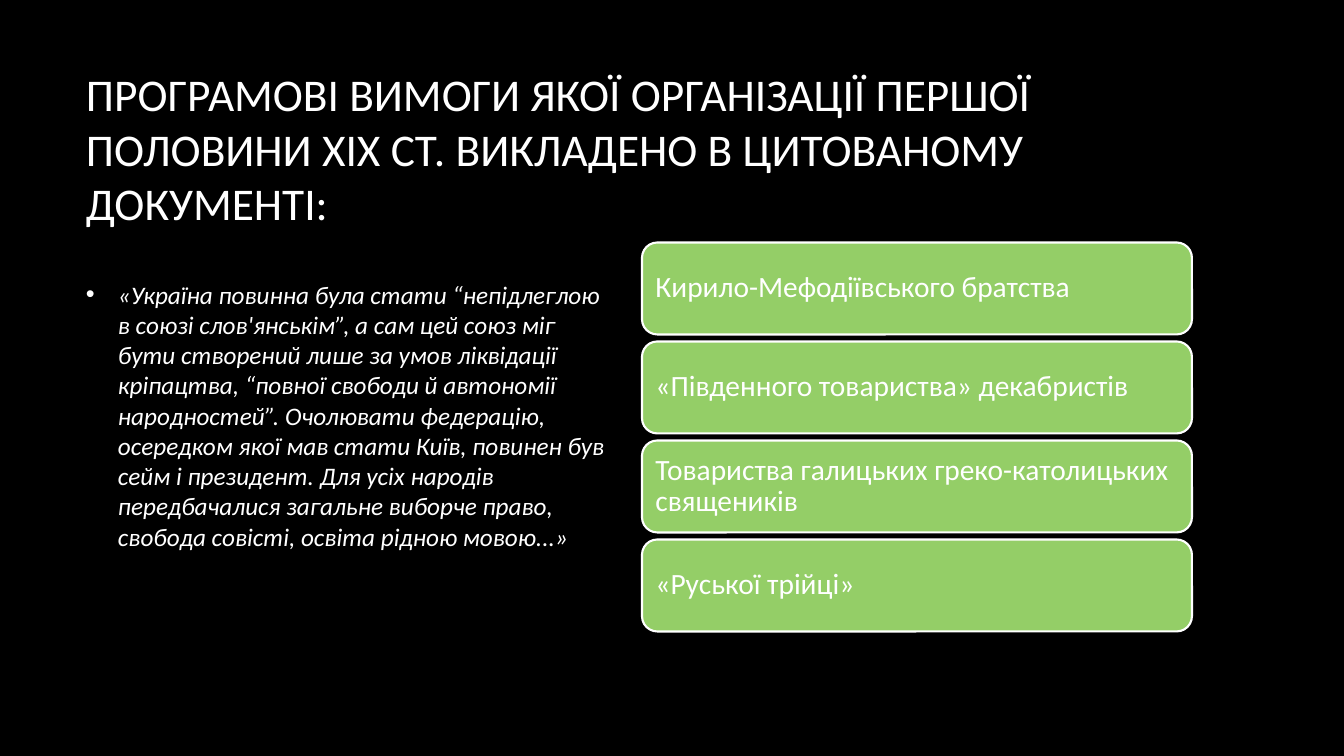
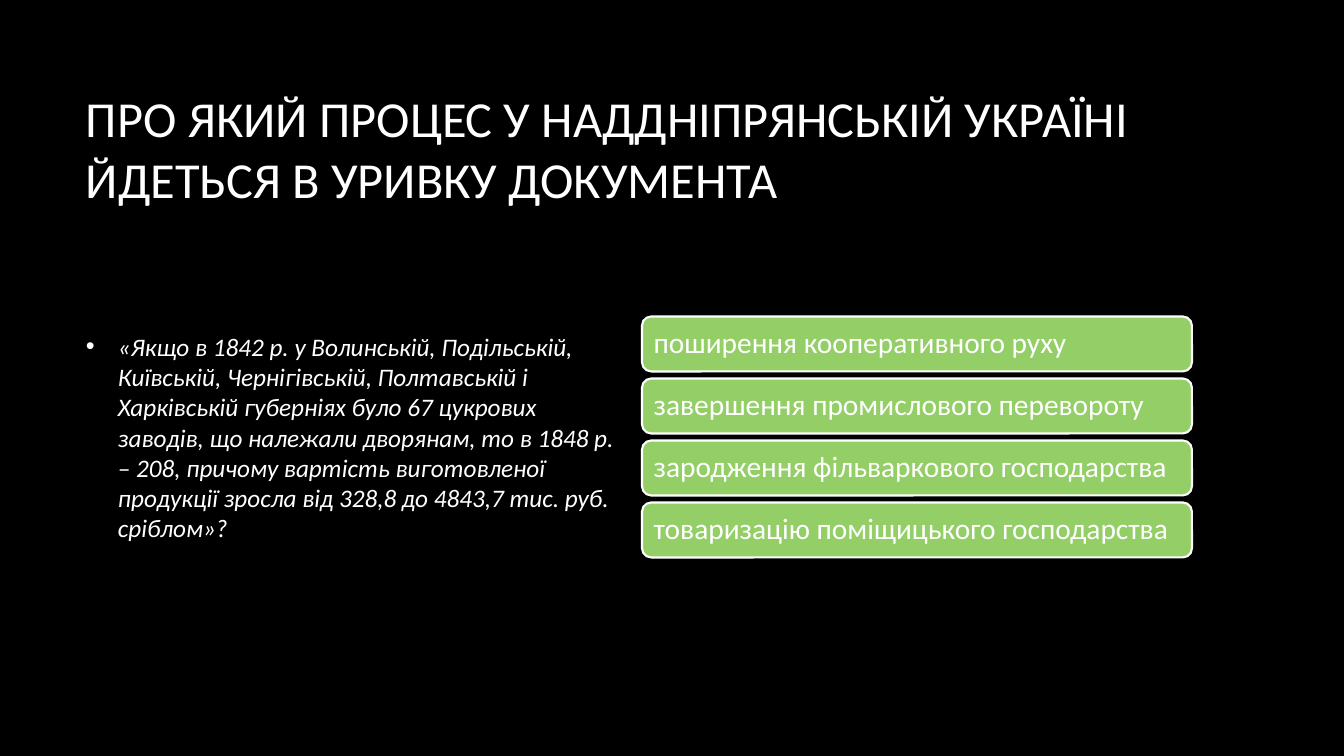
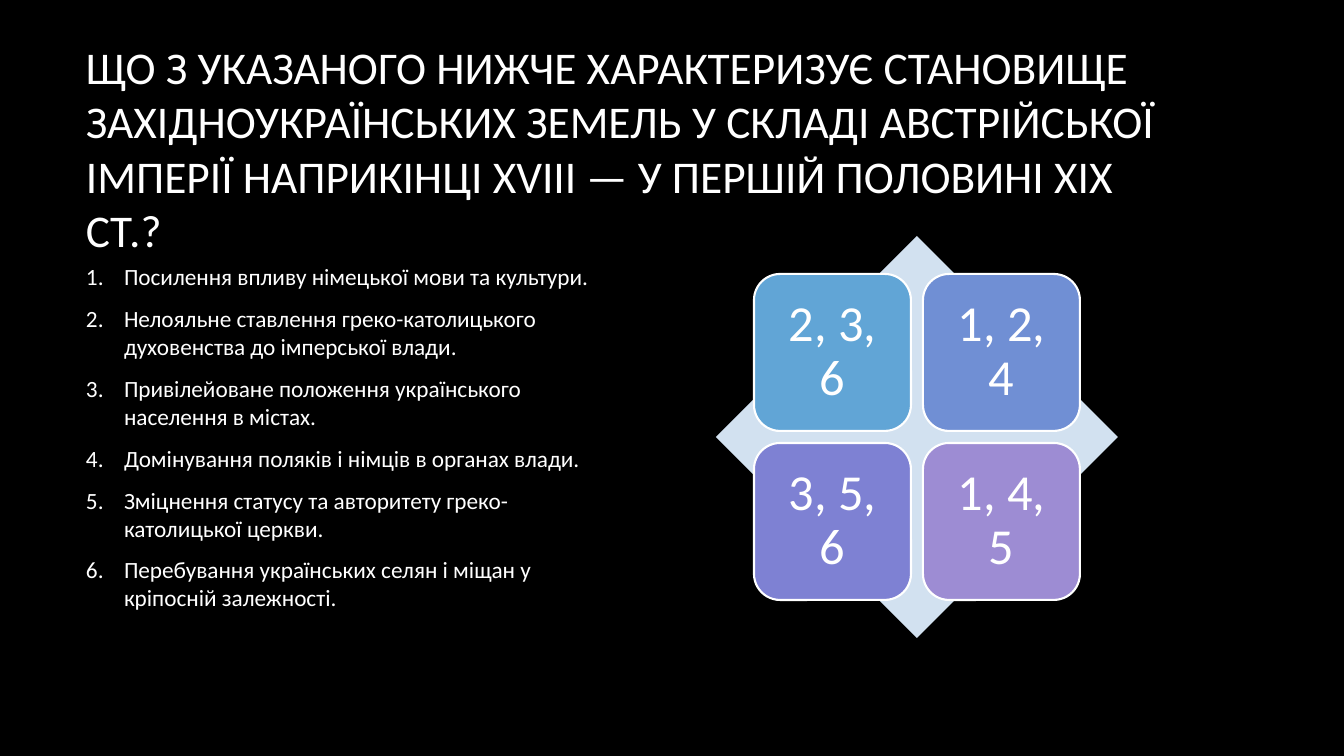
from dataclasses import dataclass

from lxml import etree
from pptx import Presentation
from pptx import util as u
from pptx.dml.color import RGBColor
from pptx.enum import shapes, text
from pptx.oxml.ns import qn

# Content
QUESTIONS = [
    dict(
        title="ПРОГРАМОВІ ВИМОГИ ЯКОЇ ОРГАНІЗАЦІЇ ПЕРШОЇ ПОЛОВИНИ ХІХ СТ. "
              "ВИКЛАДЕНО В ЦИТОВАНОМУ ДОКУМЕНТІ:",
        title_size=32.4,
        quote="«Україна повинна була стати “непідлеглою в союзі слов'янськім”, "
              "а сам цей союз міг бути створений лише за умов ліквідації кріпацтва, "
              "“повної свободи й автономії народностей”. Очолювати федерацію, "
              "осередком якої мав стати Київ, повинен був сейм і президент. Для усіх "
              "народів передбачалися загальне виборче право, свобода совісті, освіта "
              "рідною мовою...»",
        quote_height=358,
        answers=["Кирило-Мефодіївського братства",
                 "«Південного товариства» декабристів",
                 "Товариства галицьких греко-католицьких священиків",
                 "«Руської трійці»"],
        answer_height=92,
    ),
    dict(
        title="ПРО ЯКИЙ ПРОЦЕС У НАДДНІПРЯНСЬКІЙ УКРАЇНІ ЙДЕТЬСЯ В УРИВКУ ДОКУМЕНТА",
        title_size=36,
        quote="«Якщо в 1842 р. у Волинській, Подільській, Київській, Чернігівській, "
              "Полтавській і Харківській губерніях було 67 цукрових заводів, що "
              "належали дворянам, то в 1848 р. – 208, причому вартість виготовленої "
              "продукції зросла від 328,8 до 4843,7 тис. руб. сріблом»?",
        quote_height=402,
        answers=["поширення кооперативного руху",
                 "завершення промислового перевороту",
                 "зародження фільваркового господарства",
                 "товаризацію поміщицького господарства"],
        answer_height=55,
    ),
    dict(
        title="ЩО З УКАЗАНОГО НИЖЧЕ ХАРАКТЕРИЗУЄ СТАНОВИЩЕ ЗАХІДНОУКРАЇНСЬКИХ ЗЕМЕЛЬ "
              "У СКЛАДІ АВСТРІЙСЬКОЇ ІМПЕРІЇ НАПРИКІНЦІ XVIII — У ПЕРШІЙ ПОЛОВИНІ "
              "ХІХ СТ.?",
        title_size=32.4,
        statements=["Посилення впливу німецької мови та культури.",
                    "Нелояльне ставлення греко-католицького духовенства до імперської влади.",
                    "Привілейоване положення українського населення в містах.",
                    "Домінування поляків і німців в органах влади.",
                    "Зміцнення статусу та авторитету греко-католицької церкви.",
                    "Перебування українських селян і міщан у кріпосній залежності."],
        tiles=[("2, 3, 6", "61A5D6"), ("1, 2, 4", "708FD4"),
               ("3, 5, 6", "7E81D3"), ("1, 4, 5", "9D8CD3")],
    ),
]


@dataclass(frozen=True)
class Theme:
    font: str = "Calibri"
    background: str = "000000"
    ink: str = "FFFFFF"
    answer: str = "94CE67"
    diamond: str = "D2E1F0"
    outline: float = 1.5
    quote_size: float = 18
    statement_size: float = 16.6
    answer_size: float = 21
    tile_size: float = 36


THEME = Theme()

# Layout in px
EMU_PER_PX = 914400 / 100.8
SLIDE_SIZE = (1344, 756)
TITLE_BOX = (76, 68, 1117, 160)
BODY_LEFT, BODY_TOP, BODY_WIDTH, BODY_HEIGHT = 76, 236, 550, 402
CENTER_X, CENTER_Y = 917, 437
ANSWER_WIDTH, ANSWER_GAP = 550, 7
TILE, TILE_GAP, DIAMOND = 157, 12, 402


def px(value):
    return u.Emu(round(value * EMU_PER_PX))


def color(value):
    return RGBColor.from_string(value)


def add_bullet(paragraph, tag, indent, **attributes):
    properties = paragraph._p.get_or_add_pPr()
    properties.set("marL", str(px(indent)))
    properties.set("indent", str(-px(indent)))
    if tag == "a:buChar":
        etree.SubElement(properties, qn("a:buFont")).set("typeface", "Arial")
    etree.SubElement(properties, qn(tag), attributes)


def write(shape, lines, size, insets=(10, 5), italic=False, align=text.PP_ALIGN.LEFT,
          line_spacing=None, space_after=0, bullet=None):
    frame = shape.text_frame
    frame.word_wrap = True
    frame.vertical_anchor = text.MSO_ANCHOR.MIDDLE
    frame.margin_left = frame.margin_right = px(insets[0])
    frame.margin_top = frame.margin_bottom = px(insets[1])
    for index, line in enumerate(lines):
        paragraph = frame.add_paragraph() if index else frame.paragraphs[0]
        paragraph.alignment = align
        paragraph.space_after = u.Pt(space_after)
        if line_spacing:
            paragraph.line_spacing = line_spacing
        if bullet:
            add_bullet(paragraph, **bullet)
        run = paragraph.add_run()
        run.text = line
        run.font.name = THEME.font
        run.font.size = u.Pt(size)
        run.font.italic = italic
        run.font.color.rgb = color(THEME.ink)


def add_text(slide, box, lines, size, **style):
    write(slide.shapes.add_textbox(*map(px, box)), lines, size, **style)


def add_block(slide, kind, box, fill, outlined=True):
    shape = slide.shapes.add_shape(kind, *map(px, box))
    shape.shadow.inherit = False
    shape.fill.solid()
    shape.fill.fore_color.rgb = color(fill)
    if outlined:
        shape.line.color.rgb = color(THEME.ink)
        shape.line.width = u.Pt(THEME.outline)
    else:
        shape.line.fill.background()
    return shape


def add_answers(slide, answers, height):
    pitch = height + ANSWER_GAP
    top = CENTER_Y - (len(answers) * pitch - ANSWER_GAP) / 2
    for row, answer in enumerate(answers):
        box = (CENTER_X - ANSWER_WIDTH / 2, top + row * pitch, ANSWER_WIDTH, height)
        shape = add_block(slide, shapes.MSO_SHAPE.ROUNDED_RECTANGLE, box, THEME.answer)
        write(shape, [answer], THEME.answer_size, insets=(9, 9), line_spacing=0.9)


def add_tiles(slide, tiles):
    diamond_box = (CENTER_X - DIAMOND / 2, CENTER_Y - DIAMOND / 2, DIAMOND, DIAMOND)
    add_block(slide, shapes.MSO_SHAPE.DIAMOND, diamond_box, THEME.diamond, outlined=False)
    pitch = TILE + TILE_GAP
    offset = TILE + TILE_GAP / 2
    for index, (label, fill) in enumerate(tiles):
        row, column = divmod(index, 2)
        box = (CENTER_X - offset + column * pitch, CENTER_Y - offset + row * pitch, TILE, TILE)
        shape = add_block(slide, shapes.MSO_SHAPE.ROUNDED_RECTANGLE, box, fill)
        write(shape, [label], THEME.tile_size, insets=(15, 15),
              align=text.PP_ALIGN.CENTER, line_spacing=0.9)


def add_question(presentation, question):
    slide = presentation.slides.add_slide(presentation.slide_layouts[6])
    add_text(slide, TITLE_BOX, [question["title"]], question["title_size"])
    if "quote" in question:
        box = (BODY_LEFT, BODY_TOP, BODY_WIDTH, question["quote_height"])
        add_text(slide, box, [question["quote"]], THEME.quote_size, italic=True,
                 bullet=dict(tag="a:buChar", indent=32, char="•"))
        add_answers(slide, question["answers"], question["answer_height"])
    else:
        box = (BODY_LEFT, BODY_TOP, BODY_WIDTH, BODY_HEIGHT)
        add_text(slide, box, question["statements"], THEME.statement_size, space_after=10,
                 bullet=dict(tag="a:buAutoNum", indent=38, type="arabicPeriod"))
        add_tiles(slide, question["tiles"])


def main():
    presentation = Presentation()
    presentation.slide_width, presentation.slide_height = map(px, SLIDE_SIZE)
    background = presentation.slide_master.background.fill
    background.solid()
    background.fore_color.rgb = color(THEME.background)
    for question in QUESTIONS:
        add_question(presentation, question)
    presentation.save("out.pptx")


if __name__ == "__main__":
    main()
